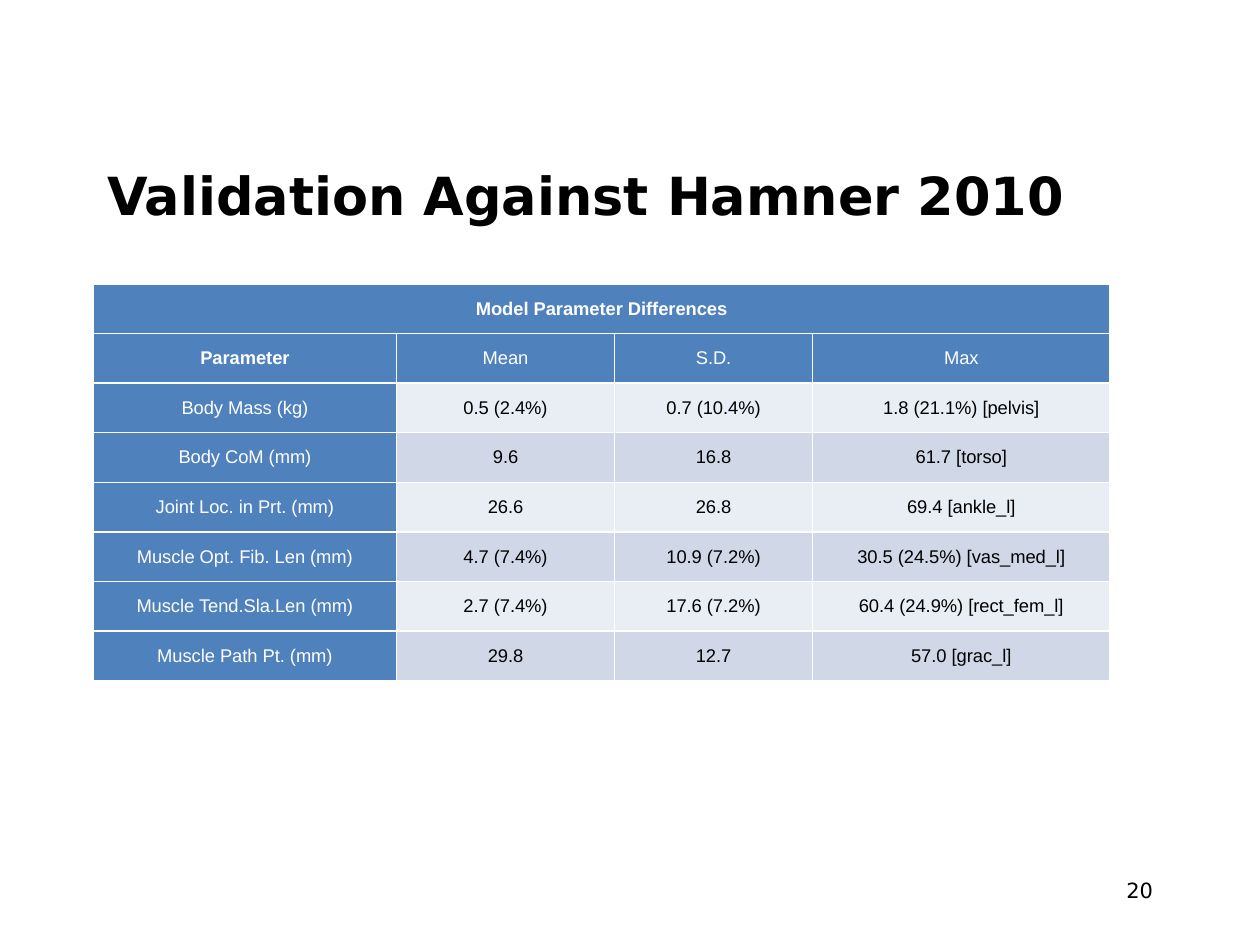
from dataclasses import dataclass

from lxml.etree import SubElement
from pptx import Presentation
from pptx.dml.color import RGBColor
from pptx.enum.text import MSO_ANCHOR, PP_ALIGN
from pptx.oxml.ns import qn
from pptx.util import Pt

# Content
TITLE = "Validation Against Hamner 2010"
PAGE_NUMBER = "20"
TABLE_TITLE = "Model Parameter Differences"
HEADINGS = ("Parameter", "Mean", "S.D.", "Max")
DIFFERENCES = [
    ("Body Mass (kg)", "0.5 (2.4%)", "0.7 (10.4%)", "1.8 (21.1%) [pelvis]"),
    ("Body CoM (mm)", "9.6", "16.8", "61.7 [torso]"),
    ("Joint Loc. in Prt. (mm)", "26.6", "26.8", "69.4 [ankle_l]"),
    ("Muscle Opt. Fib. Len (mm)", "4.7 (7.4%)", "10.9 (7.2%)", "30.5 (24.5%) [vas_med_l]"),
    ("Muscle Tend.Sla.Len (mm)", "2.7 (7.4%)", "17.6 (7.2%)", "60.4 (24.9%) [rect_fem_l]"),
    ("Muscle Path Pt. (mm)", "29.8", "12.7", "57.0 [grac_l]"),
]


@dataclass(frozen=True)
class Theme:
    heading_font: str = "DejaVu Sans"
    table_font: str = "Arial"
    title_size: float = 30
    number_size: float = 12
    table_size: float = 10.5
    black: str = "000000"
    white: str = "FFFFFF"
    header: str = "4F81BD"
    bands: tuple = ("E9EDF4", "D0D8E8")


THEME = Theme()

# Layout in points
TITLE_BOX = (54, 84.24, 612, 54)
NUMBER_BOX = (516, 498, 150, 30)
TABLE_LEFT, TABLE_TOP = 53.4, 162.2
COLUMN_WIDTHS = (173.2, 124.6, 113.2, 170)
ROW_HEIGHT = 28.35
CELL_MARGIN = 3
BORDER_WIDTH = 1


def write(frame, text, *, font, size, color, bold=False, align=PP_ALIGN.LEFT):
    para = frame.paragraphs[0]
    para.alignment = align
    span = para.add_run()
    span.text = text
    span.font.name = font
    span.font.size = Pt(size)
    span.font.bold = bold
    span.font.color.rgb = RGBColor.from_string(color)


def add_borders(cell):
    properties = cell._tc.get_or_add_tcPr()
    for side in ("a:lnL", "a:lnR", "a:lnT", "a:lnB"):
        line = SubElement(properties, qn(side), w=str(Pt(BORDER_WIDTH)))
        fill = SubElement(line, qn("a:solidFill"))
        SubElement(fill, qn("a:srgbClr"), val=THEME.white)


def format_cell(cell, fill):
    cell.vertical_anchor = MSO_ANCHOR.MIDDLE
    cell.margin_left = cell.margin_right = Pt(CELL_MARGIN)
    cell.margin_top = cell.margin_bottom = Pt(CELL_MARGIN)
    add_borders(cell)
    cell.fill.solid()
    cell.fill.fore_color.rgb = RGBColor.from_string(fill)


def add_difference_table(page):
    rows = [(TABLE_TITLE, "", "", ""), HEADINGS, *DIFFERENCES]
    table = page.shapes.add_table(
        len(rows), len(HEADINGS), Pt(TABLE_LEFT), Pt(TABLE_TOP),
        Pt(sum(COLUMN_WIDTHS)), Pt(ROW_HEIGHT * len(rows))).table
    for column, width in zip(table.columns, COLUMN_WIDTHS):
        column.width = Pt(width)
    for r, values in enumerate(rows):
        table.rows[r].height = Pt(ROW_HEIGHT)
        for c, text in enumerate(values):
            is_header = r < 2 or c == 0
            cell = table.cell(r, c)
            format_cell(cell, THEME.header if is_header else THEME.bands[r % 2])
            if text:
                write(cell.text_frame, text, font=THEME.table_font,
                      size=THEME.table_size, bold=r < 2 and c == 0,
                      color=THEME.white if is_header else THEME.black,
                      align=PP_ALIGN.CENTER)
    table.cell(0, 0).merge(table.cell(0, len(HEADINGS) - 1))


def main():
    deck = Presentation()
    deck.slide_width, deck.slide_height = Pt(720), Pt(540)
    page = deck.slides.add_slide(deck.slide_layouts[5])

    # Title
    title = page.shapes.title
    title.left, title.top, title.width, title.height = map(Pt, TITLE_BOX)
    title.text_frame.vertical_anchor = MSO_ANCHOR.MIDDLE
    write(title.text_frame, TITLE, font=THEME.heading_font,
          size=THEME.title_size, color=THEME.black, bold=True)

    # Table
    add_difference_table(page)

    # Page number
    box = page.shapes.add_textbox(*map(Pt, NUMBER_BOX))
    box.text_frame.word_wrap = True
    write(box.text_frame, PAGE_NUMBER, font=THEME.heading_font,
          size=THEME.number_size, color=THEME.black, align=PP_ALIGN.RIGHT)

    deck.save("out.pptx")


if __name__ == "__main__":
    main()
